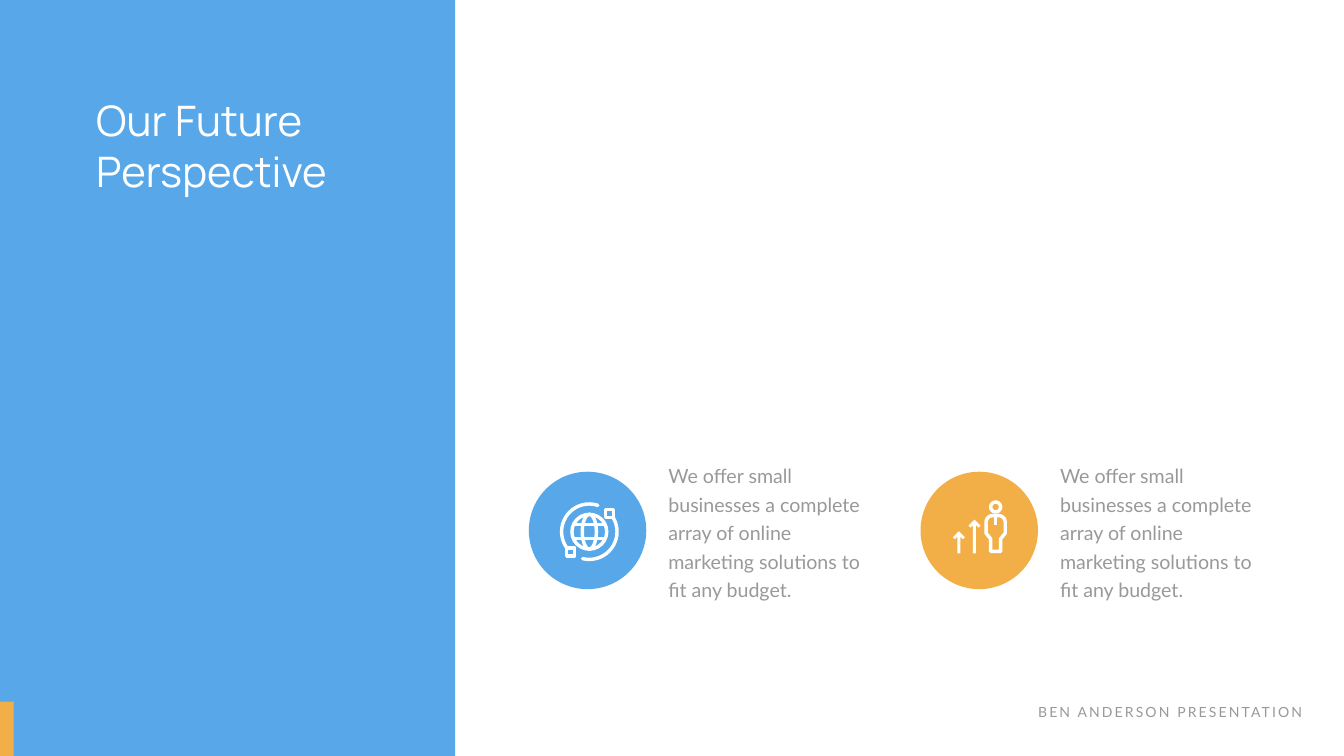
from math import cos, radians, sin

from lxml.etree import SubElement
from pptx import Presentation
from pptx.dml.color import RGBColor
from pptx.enum.shapes import MSO_CONNECTOR, MSO_SHAPE
from pptx.enum.text import PP_ALIGN
from pptx.oxml.ns import qn
from pptx.util import Inches, Pt

BLUE = RGBColor(0x57, 0xA7, 0xE9)
ORANGE = RGBColor(0xF3, 0xAF, 0x47)
GRAY = RGBColor(0x99, 0x99, 0x99)
WHITE = RGBColor(0xFF, 0xFF, 0xFF)
STROKE = Pt(4.9)

prs = Presentation()
prs.slide_width = Inches(26.66)
prs.slide_height = Inches(15)
slide = prs.slides.add_slide(prs.slide_layouts[6])
shapes = slide.shapes


def paint(shape, fill=None):
    """Fill a shape without a line, or give it a white outline if no fill is named."""
    shape.shadow.inherit = False
    if fill is not None:
        shape.fill.solid()
        shape.fill.fore_color.rgb = fill
        shape.line.fill.background()
    else:
        shape.fill.background()
        shape.line.color.rgb = WHITE
        shape.line.width = STROKE


def add_text(text, left, top, width, height, font, size, color):
    box = shapes.add_textbox(Inches(left), Inches(top), Inches(width), Inches(height))
    box.text_frame.word_wrap = True
    paragraph = box.text_frame.paragraphs[0]
    paragraph.text = text
    paragraph.font.name = font
    paragraph.font.size = Pt(size)
    paragraph.font.color.rgb = color
    return paragraph


# Side panel and title
for top, width, height, color in [(0, 9.03, 15, BLUE), (13.92, 0.27, 1.08, ORANGE)]:
    paint(shapes.add_shape(MSO_SHAPE.RECTANGLE, 0, Inches(top), Inches(width), Inches(height)), color)
add_text("Our Future Perspective", 1.81, 1.83, 5.55, 2.12, "Manrope", 60, WHITE)

# Two offers: disc with text beside it
for left, color in [(10.49, BLUE), (18.26, ORANGE)]:
    offer = add_text(
        "We offer small businesses a complete array of online marketing solutions to fit any budget.",
        left + 2.67, 9.06, 4.27, 2.92, "Lato", 28, GRAY)
    offer.line_spacing = Pt(40.8)
    paint(shapes.add_shape(MSO_SHAPE.OVAL, Inches(left), Inches(9.36), Inches(2.33), Inches(2.33)), color)

# Outlined icon parts: centre x, centre y, width, height
GLOBE_X, GLOBE_Y = 11.69, 10.55
PERSON_X = 19.75
outlines = [
    (MSO_SHAPE.OVAL, GLOBE_X, GLOBE_Y, 0.69, 0.69),
    (MSO_SHAPE.OVAL, GLOBE_X, GLOBE_Y, 0.28, 0.69),
    (MSO_SHAPE.RECTANGLE, GLOBE_X + 0.4, GLOBE_Y - 0.36, 0.16, 0.16),
    (MSO_SHAPE.RECTANGLE, GLOBE_X - 0.37, GLOBE_Y + 0.4, 0.16, 0.16),
    (MSO_SHAPE.OVAL, PERSON_X, 10.06, 0.2, 0.2),
]
for kind, x, y, width, height in outlines:
    paint(shapes.add_shape(kind, Inches(x - width / 2), Inches(y - height / 2), Inches(width), Inches(height)))

# Orbits around the globe; an arc adjustment of 0.6 is one degree
ORBIT = 0.55
for start, end in [(330, 104), (147, 288)]:
    orbit = shapes.add_shape(MSO_SHAPE.ARC, Inches(GLOBE_X - ORBIT), Inches(GLOBE_Y - ORBIT),
                             Inches(2 * ORBIT), Inches(2 * ORBIT))
    orbit.adjustments[0] = start * 0.6
    orbit.adjustments[1] = end * 0.6
    paint(orbit)
    orbit.line._get_or_add_ln().set("cap", "rnd")

# Latitudes of the globe and the person's tie
strokes = [(GLOBE_X - 0.31, y, GLOBE_X + 0.31, y) for y in (GLOBE_Y - 0.14, GLOBE_Y + 0.14)]
strokes.append((PERSON_X, 10.23, PERSON_X, 10.42))
for ends in strokes:
    stroke = shapes.add_connector(MSO_CONNECTOR.STRAIGHT, *[Inches(v) for v in ends])
    stroke.line.color.rgb = WHITE
    stroke.line.width = STROKE
    SubElement(stroke._element.spPr, qn("a:effectLst"))

# Person's body: right half from shoulder to foot, then mirrored
SHOULDER = 0.13
right_side = [(0.06 + SHOULDER * cos(radians(a)), 10.36 - SHOULDER * sin(radians(a)))
              for a in range(90, -1, -15)]
right_side += [(0.19, 10.58), (0.1, 10.69), (0.1, 10.94)]
body = [(PERSON_X + dx, y) for dx, y in right_side]
body += [(PERSON_X - dx, y) for dx, y in reversed(right_side)]
polygons = [(body, None)]

# Rising arrows: right half from tip to foot, then mirrored
for x, tip in [(19.33, 10.31), (19.02, 10.54)]:
    half = [(0, tip), (0.12, tip + 0.12), (0.08, tip + 0.16), (0.03, tip + 0.11), (0.03, 10.98)]
    arrow = [(x + dx, y) for dx, y in half] + [(x - dx, y) for dx, y in reversed(half[1:])]
    polygons.append((arrow, WHITE))

for points, fill in polygons:
    corners = [(Inches(x), Inches(y)) for x, y in points]
    builder = shapes.build_freeform(*corners[0])
    builder.add_line_segments(corners[1:])
    paint(builder.convert_to_shape(), fill)

# Footer
footer = add_text("BEN ANDERSON PRESENTATION", 20.08, 13.91, 5.85, 0.44, "Lato", 20, GRAY)
footer.alignment = PP_ALIGN.RIGHT
footer.runs[0].font._element.set("spc", "300")

prs.save("out.pptx")
